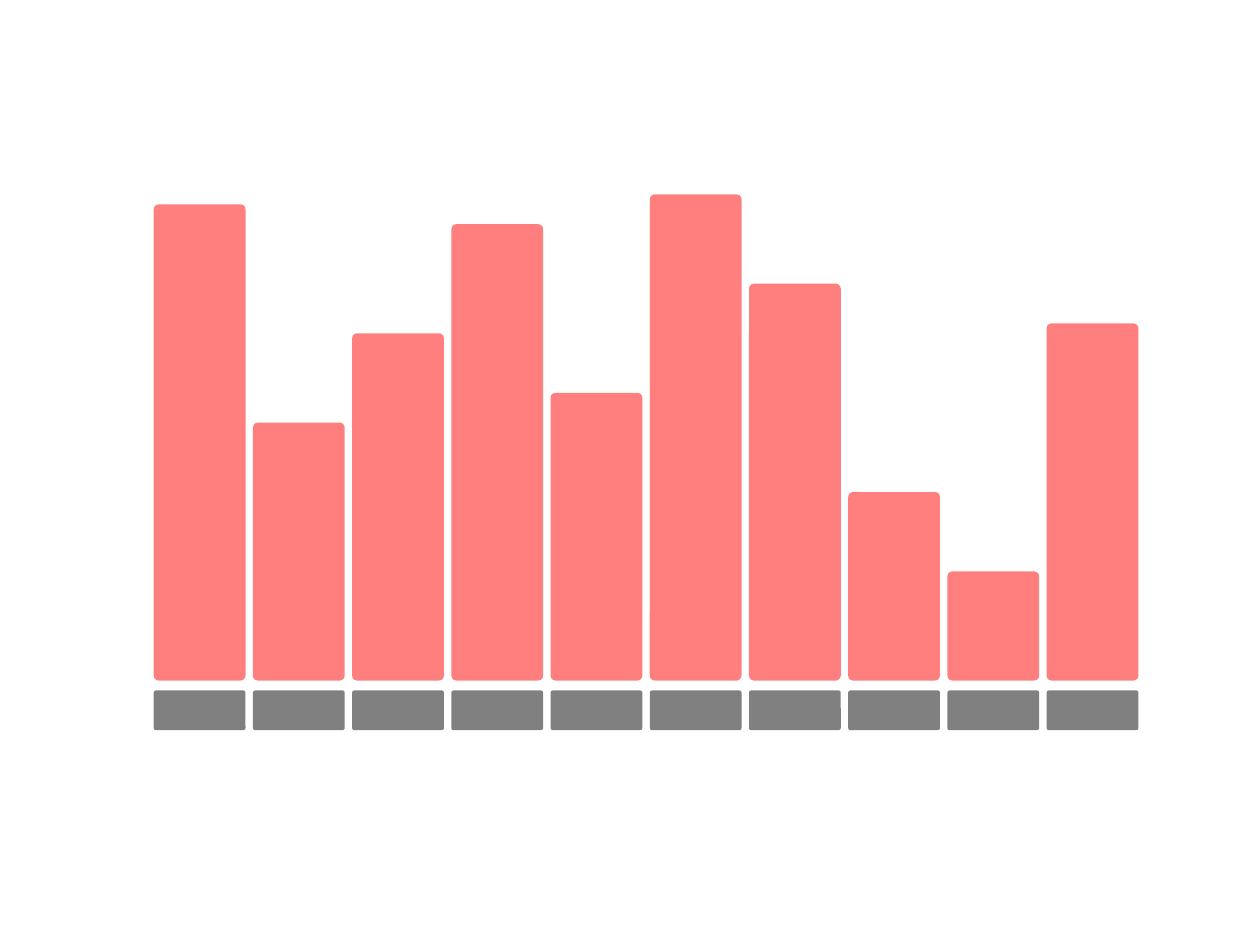
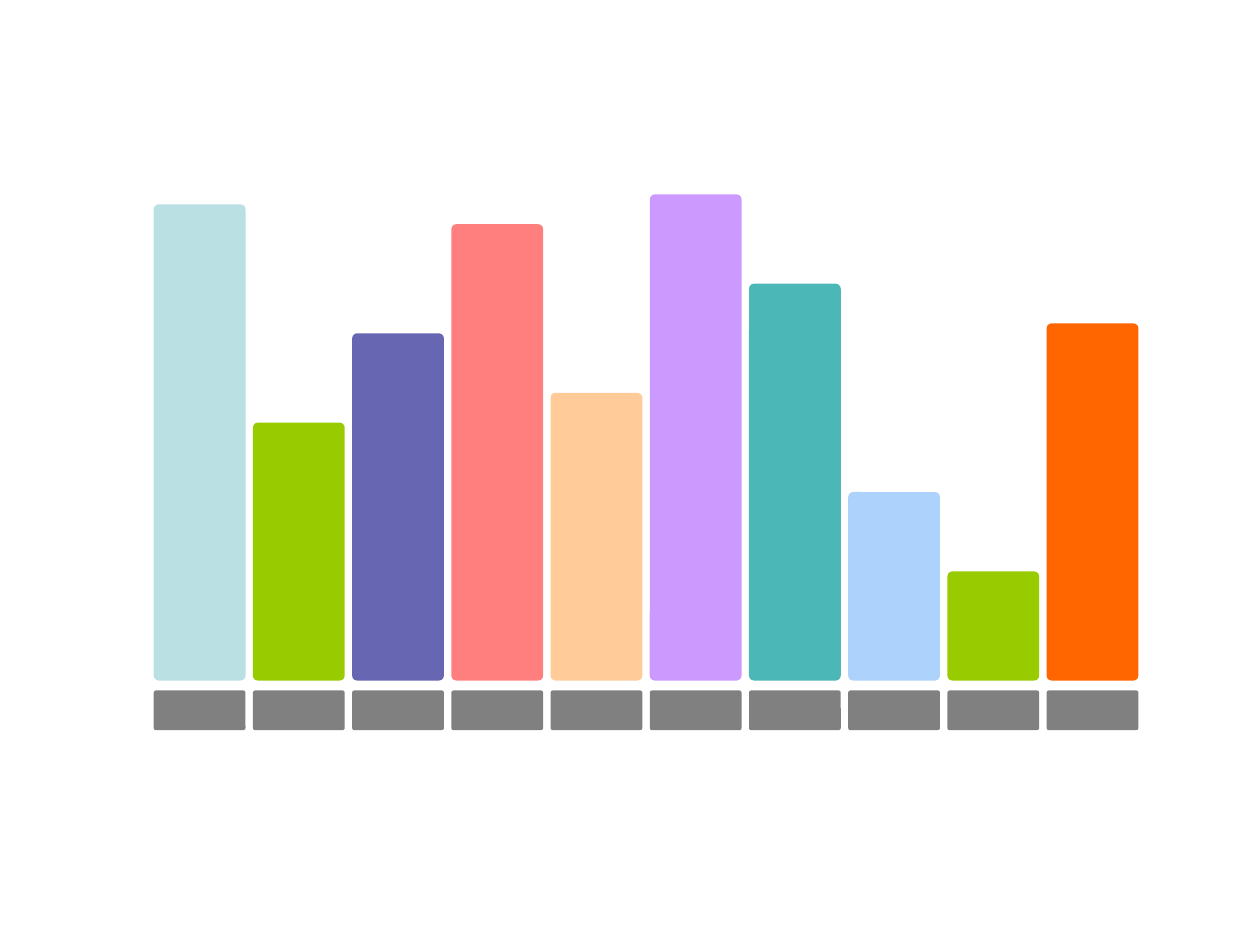
from lxml import etree
from pptx import Presentation
from pptx.dml.color import RGBColor
from pptx.enum.shapes import MSO_SHAPE
from pptx.oxml.ns import qn
from pptx.util import Cm

ROUNDED = MSO_SHAPE.ROUNDED_RECTANGLE
BLANK_LAYOUT = 6

COLOURS = {
    "label": "808080",
    "red": "FF0000",
    "pale_teal": "BBE0E3",
    "lime": "99CC00",
    "navy": "000080",
    "peach": "FFCC99",
    "lilac": "CC99FF",
    "teal": "009999",
    "sky": "ADD2FB",
    "orange": "FF6600",
}
# Opacity in percent, for the colours that are see-through
OPACITY = {"red": 50, "navy": 60, "teal": 70}

# Column grid in centimetres
FIRST_LEFT = 3.1
COLUMN_STEP = 2
COLUMN_WIDTH = 1.85
BASELINE = 13.72
LABEL_GAP = 0.2
LABEL_HEIGHT = 0.8
CORNER = 0.054

BAR_HEIGHTS = [9.6, 5.2, 7, 9.2, 5.8, 9.8, 8, 3.8, 2.2, 7.2]
SINGLE_COLOUR = ["red"] * len(BAR_HEIGHTS)
MANY_COLOURS = ["pale_teal", "lime", "navy", "red", "peach",
                "lilac", "teal", "sky", "lime", "orange"]


def fill_shape(shape, colour):
    shape.fill.solid()
    shape.fill.fore_color.rgb = RGBColor.from_string(COLOURS[colour])
    if colour in OPACITY:
        rgb = shape.element.spPr.find(qn("a:solidFill")).find(qn("a:srgbClr"))
        alpha = etree.SubElement(rgb, qn("a:alpha"))
        alpha.set("val", str(OPACITY[colour] * 1000))


def add_block(slide, column, top, height, colour):
    """Add one rounded block in a column of the grid."""
    left = FIRST_LEFT + column * COLUMN_STEP
    block = slide.shapes.add_shape(
        ROUNDED, Cm(left), Cm(top), Cm(COLUMN_WIDTH), Cm(height))
    block.adjustments[0] = CORNER
    block.shadow.inherit = False
    block.line.fill.background()
    fill_shape(block, colour)


def add_bar_slide(prs, bar_colours):
    slide = prs.slides.add_slide(prs.slide_layouts[BLANK_LAYOUT])
    for column, (height, colour) in enumerate(zip(BAR_HEIGHTS, bar_colours)):
        # Label plate below the baseline, bar standing on it
        add_block(slide, column, BASELINE + LABEL_GAP, LABEL_HEIGHT, "label")
        add_block(slide, column, BASELINE - height, height, colour)


def main():
    prs = Presentation()
    prs.slide_width = Cm(25.4)
    prs.slide_height = Cm(19.05)
    for bar_colours in (SINGLE_COLOUR, MANY_COLOURS):
        add_bar_slide(prs, bar_colours)
    prs.save("out.pptx")


if __name__ == "__main__":
    main()
